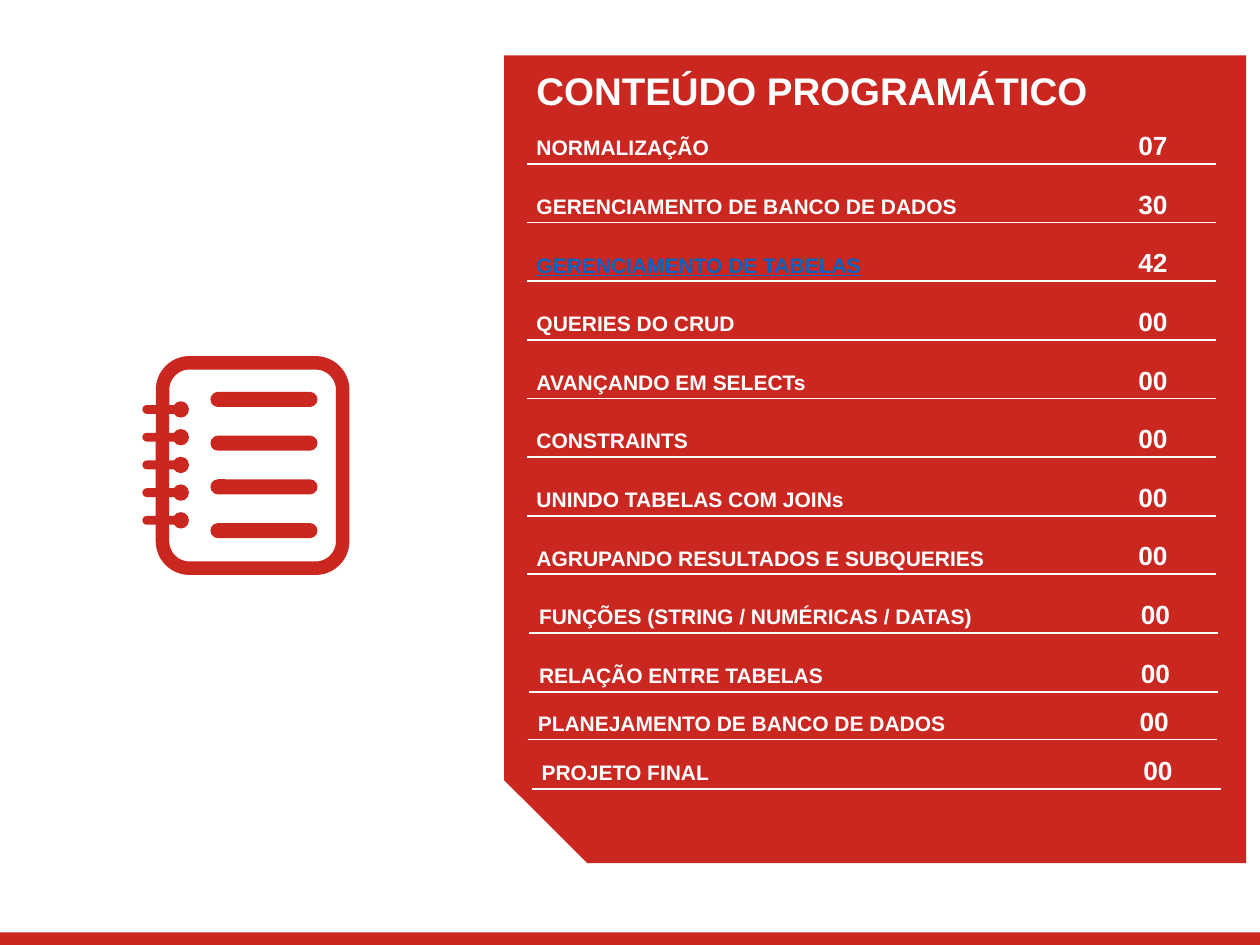
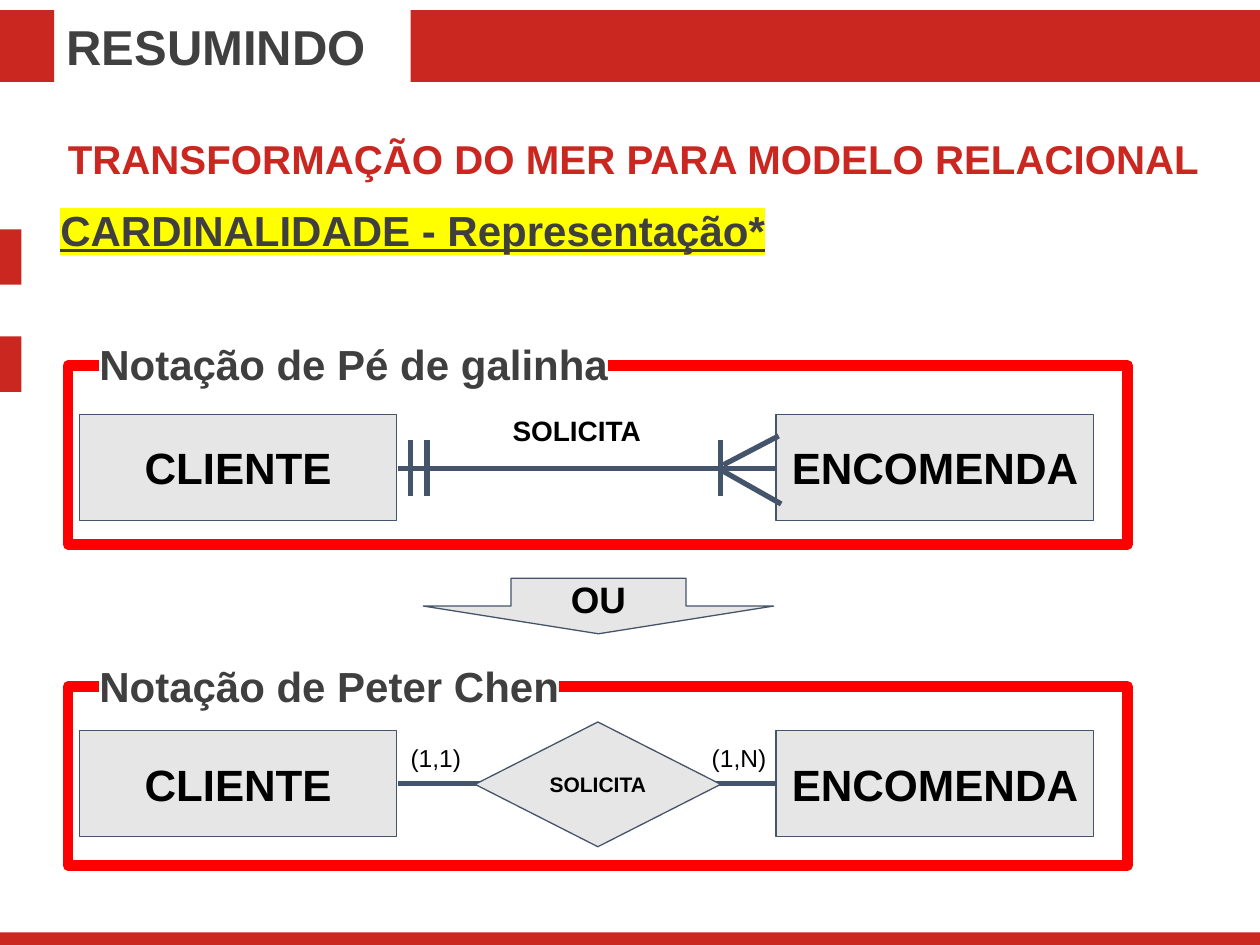
from lxml import etree
from pptx import Presentation
from pptx.dml.color import RGBColor
from pptx.enum import shapes, text
from pptx.oxml import ns
from pptx.util import Inches, Pt

RED, WHITE, BLACK = "CA2721", "FFFFFF", "000000"
DARK, GREY, SLATE = "3F3F3F", "E7E6E6", "44546A"
FONT = "Arial"
KIND = shapes.MSO_SHAPE
LEFT, MID, JUST = text.PP_ALIGN.LEFT, text.PP_ALIGN.CENTER, text.PP_ALIGN.JUSTIFY

TOPICS = [
    ("NORMALIZAÇÃO", "07"),
    ("GERENCIAMENTO DE BANCO DE DADOS", "30"),
    ("GERENCIAMENTO DE TABELAS", "42"),
    ("QUERIES DO CRUD", "00"),
    ("AVANÇANDO EM SELECTs", "00"),
    ("CONSTRAINTS", "00"),
    ("UNINDO TABELAS COM JOINs", "00"),
    ("AGRUPANDO RESULTADOS E SUBQUERIES", "00"),
    ("FUNÇÕES (STRING / NUMÉRICAS / DATAS)", "00"),
    ("RELAÇÃO ENTRE TABELAS", "00"),
    ("PLANEJAMENTO DE BANCO DE DADOS", "00"),
    ("PROJETO FINAL", "00"),
]
CURRENT = 2
SHIFTS = [0] * 8 + [0.02, 0.02, 0.01, 0.04]
RULES = [1.3 + 0.4655 * i for i in range(10)] + [5.87, 6.26]


def color(code):
    return RGBColor.from_string(code)


def write(shape, words, size, ink, align=LEFT, bold=True, under=None,
          mark=None, pad=0.05, anchor=text.MSO_ANCHOR.TOP):
    """Put one styled paragraph in a shape; mark is the highlight colour."""
    frame = shape.text_frame
    frame.word_wrap = True
    frame.vertical_anchor = anchor
    frame.margin_left = frame.margin_right = Inches(0.1)
    frame.margin_top = frame.margin_bottom = Inches(pad)
    para = frame.paragraphs[0]
    para.alignment = align
    run = para.add_run()
    run.text = words
    font = para.font
    font.name, font.size, font.bold = FONT, Pt(size), bold
    font.underline = under
    font.color.rgb = color(ink)
    if mark:
        light = etree.SubElement(run._r.get_or_add_rPr(), ns.qn("a:highlight"))
        etree.SubElement(light, ns.qn("a:srgbClr"), val=mark)


def label(slide, box, words, size, ink, **style):
    area = slide.shapes.add_textbox(*map(Inches, box))
    write(area, words, size, ink, **style)


def block(slide, box, fill=None, line=None, width=0.75, kind=KIND.RECTANGLE):
    shape = slide.shapes.add_shape(kind, *map(Inches, box))
    shape.shadow.inherit = False
    if fill:
        shape.fill.solid()
        shape.fill.fore_color.rgb = color(fill)
    else:
        shape.fill.background()
    if line:
        shape.line.color.rgb = color(line)
        shape.line.width = Pt(width)
    else:
        shape.line.fill.background()
    return shape


def stroke(slide, x1, y1, x2, y2, ink, width):
    line = slide.shapes.add_connector(
        shapes.MSO_CONNECTOR.STRAIGHT, *map(Inches, (x1, y1, x2, y2)))
    line.line.color.rgb = color(ink)
    line.line.width = Pt(width)
    etree.SubElement(line._element.spPr, ns.qn("a:effectLst"))


def node(slide, box, words, size=25, kind=KIND.RECTANGLE):
    shape = block(slide, box, GREY, SLATE, kind=kind)
    write(shape, words, size, BLACK, align=MID, pad=0.1,
          anchor=text.MSO_ANCHOR.MIDDLE)


def pill(slide, box):
    bar = block(slide, box, RED, kind=KIND.ROUNDED_RECTANGLE)
    bar.adjustments[0] = 0.5


def notebook(slide):
    cover = block(slide, (1.29, 2.88, 1.43, 1.63), line=RED, width=7.7,
                  kind=KIND.ROUNDED_RECTANGLE)
    cover.adjustments[0] = 0.15
    for i in range(5):
        mid = 3.25 + 0.22 * i
        pill(slide, (1.13, mid - 0.035, 0.31, 0.07))
        block(slide, (1.37, mid - 0.065, 0.13, 0.13), RED, kind=KIND.OVAL)
    for i in range(4):
        pill(slide, (1.67, 3.11 + 0.347 * i, 0.85, 0.12))


def topic(slide, words, page, shift, rule, ink, under):
    label(slide, (4.16 + shift, rule - 0.28, 4.84, 0.28), words, 12, ink,
          under=under)
    label(slide, (8.91 + shift, rule - 0.31, 0.48, 0.32), page, 15, WHITE,
          align=MID, anchor=text.MSO_ANCHOR.MIDDLE)
    stroke(slide, 4.18 + shift, rule, 9.65 + shift, rule, WHITE, 1)


def start(deck):
    """Add a blank slide with the red footer band."""
    slide = deck.slides.add_slide(deck.slide_layouts[6])
    block(slide, (0, 7.4, 10, 0.1), RED)
    return slide


def agenda(deck):
    slide = start(deck)
    panel = block(slide, (4, 0.44, 5.89, 6.41), RED,
                  kind=KIND.SNIP_1_RECTANGLE)
    panel.adjustments[0] = 0.112
    panel.rotation = 180
    label(slide, (4.16, 0.48, 4.86, 0.86), "CONTEÚDO PROGRAMÁTICO", 22, WHITE)
    for i, (words, page) in enumerate(TOPICS):
        now = i == CURRENT
        topic(slide, words, page, SHIFTS[i], RULES[i],
              "0563C1" if now else WHITE, now)
    notebook(slide)


def header(slide, title, topic):
    label(slide, (0.44, 1.02, 9.37, 0.51), topic, 23, RED)
    for top in (1.82, 2.67):
        block(slide, (-0.15, top, 0.32, 0.44), RED)
    label(slide, (0.43, 0.08, 3.08, 0.57), title, 28, "404040")
    for left, width in ((0, 0.43), (3.26, 6.74)):
        block(slide, (left, 0.08, width, 0.57), RED)


def panel(slide, top, title, head):
    """Draw a red frame whose title sits on its top edge."""
    block(slide, (0.54, top, 8.41, 1.42), line="FF0000", width=6)
    label(slide, (0.69, head, 6.43, 0.61), title, 24, DARK, align=JUST,
          mark=WHITE, pad=0.1)


def pair(slide, top, axis):
    """Draw the two entities and the line that joins them."""
    node(slide, (0.63, top, 2.52, 0.84), "CLIENTE")
    node(slide, (6.16, top, 2.52, 0.84), "ENCOMENDA")
    stroke(slide, 3.16, axis, 6.16, axis, SLATE, 3)


def summary(deck):
    slide = start(deck)
    header(slide, "RESUMINDO", "TRANSFORMAÇÃO DO MER PARA MODELO RELACIONAL")
    label(slide, (0.38, 1.57, 9.12, 0.51), "CARDINALIDADE - Representação*",
          24, DARK, align=JUST, under=True, mark="FFFF00")

    panel(slide, 2.9, "Notação de Pé de galinha", 2.59)
    pair(slide, 3.29, 3.72)
    stroke(slide, 5.74, 3.69, 6.18, 3.46, SLATE, 3)
    stroke(slide, 6.2, 4, 5.74, 3.74, SLATE, 3)
    for x in (3.26, 3.39, 5.72):
        stroke(slide, x, 3.49, x, 3.94, SLATE, 3)
    label(slide, (3.97, 3.18, 1.38, 0.47), "SOLICITA", 16, BLACK, pad=0.1)

    node(slide, (3.36, 4.59, 2.78, 0.44), "OU", 21, KIND.DOWN_ARROW)

    panel(slide, 5.45, "Notação de Peter Chen", 5.14)
    pair(slide, 5.8, 6.22)
    for left, width, words in ((3.16, 0.61, "(1,1)"), (5.55, 0.71, "(1,N)")):
        label(slide, (left, 5.8, width, 0.44), words, 14, BLACK, bold=False,
              pad=0.1)
    node(slide, (3.77, 5.73, 1.95, 0.99), "SOLICITA", 12, KIND.DIAMOND)


def main():
    deck = Presentation()
    deck.slide_width, deck.slide_height = Inches(10), Inches(7.5)
    agenda(deck)
    summary(deck)
    deck.save("out.pptx")


if __name__ == "__main__":
    main()
